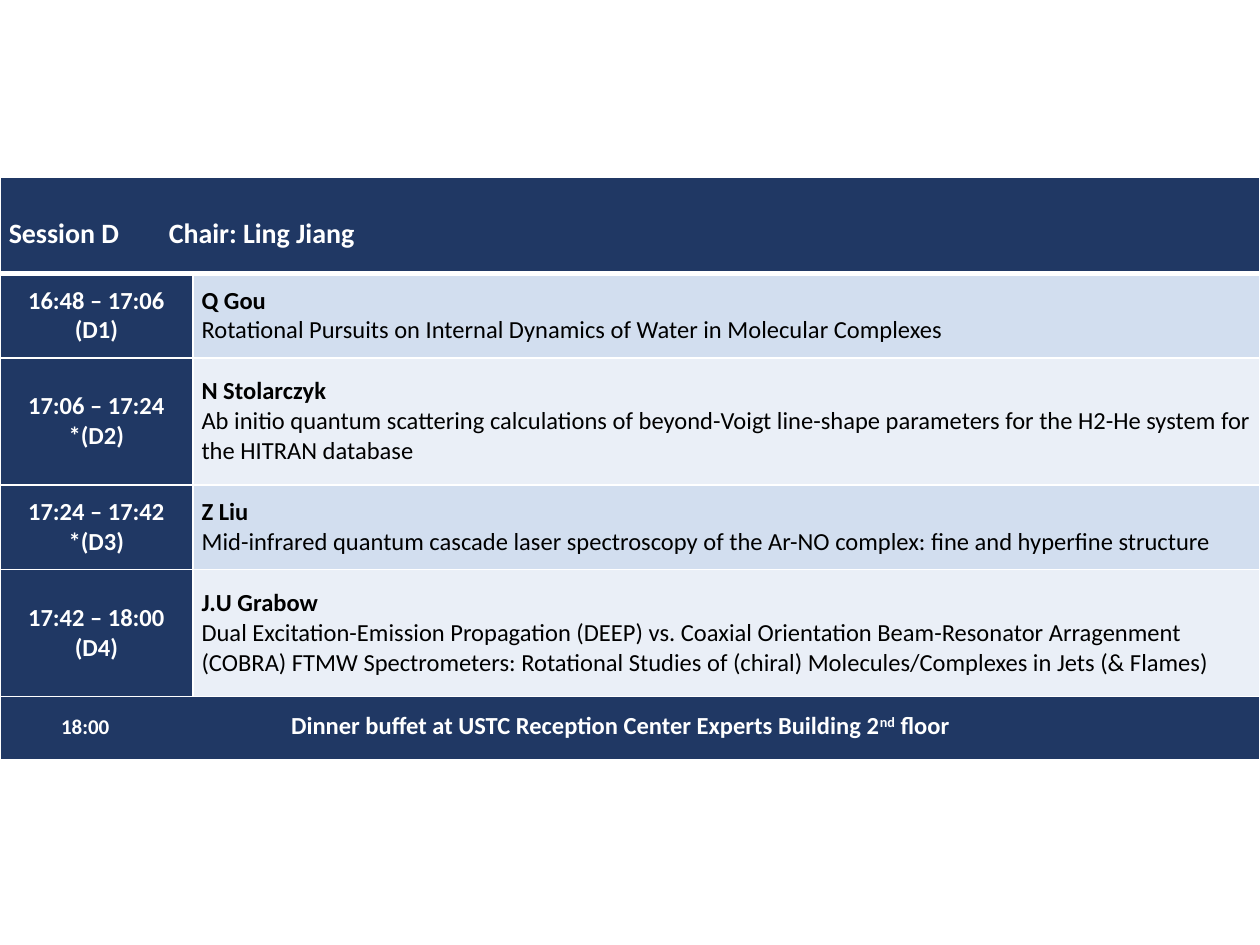
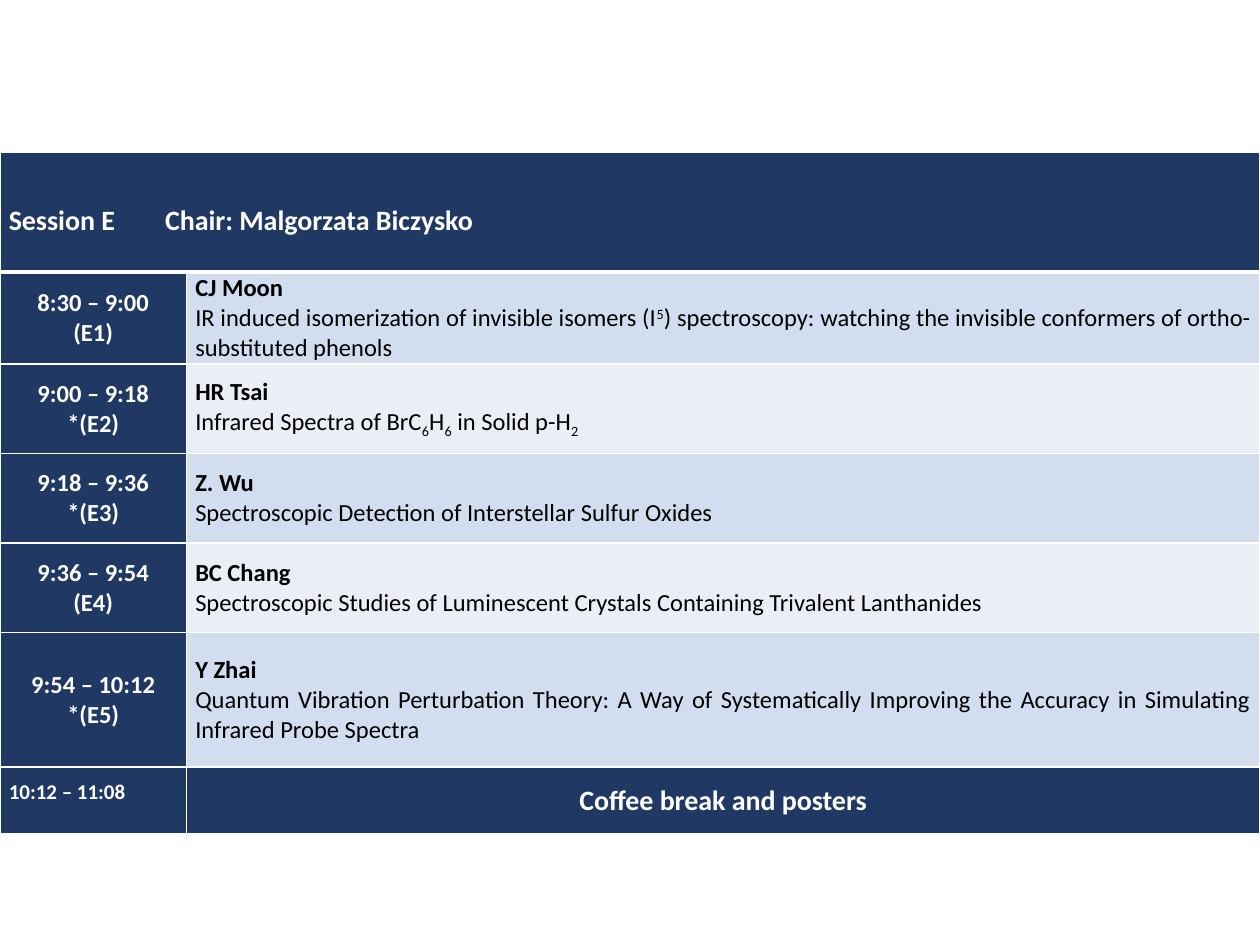
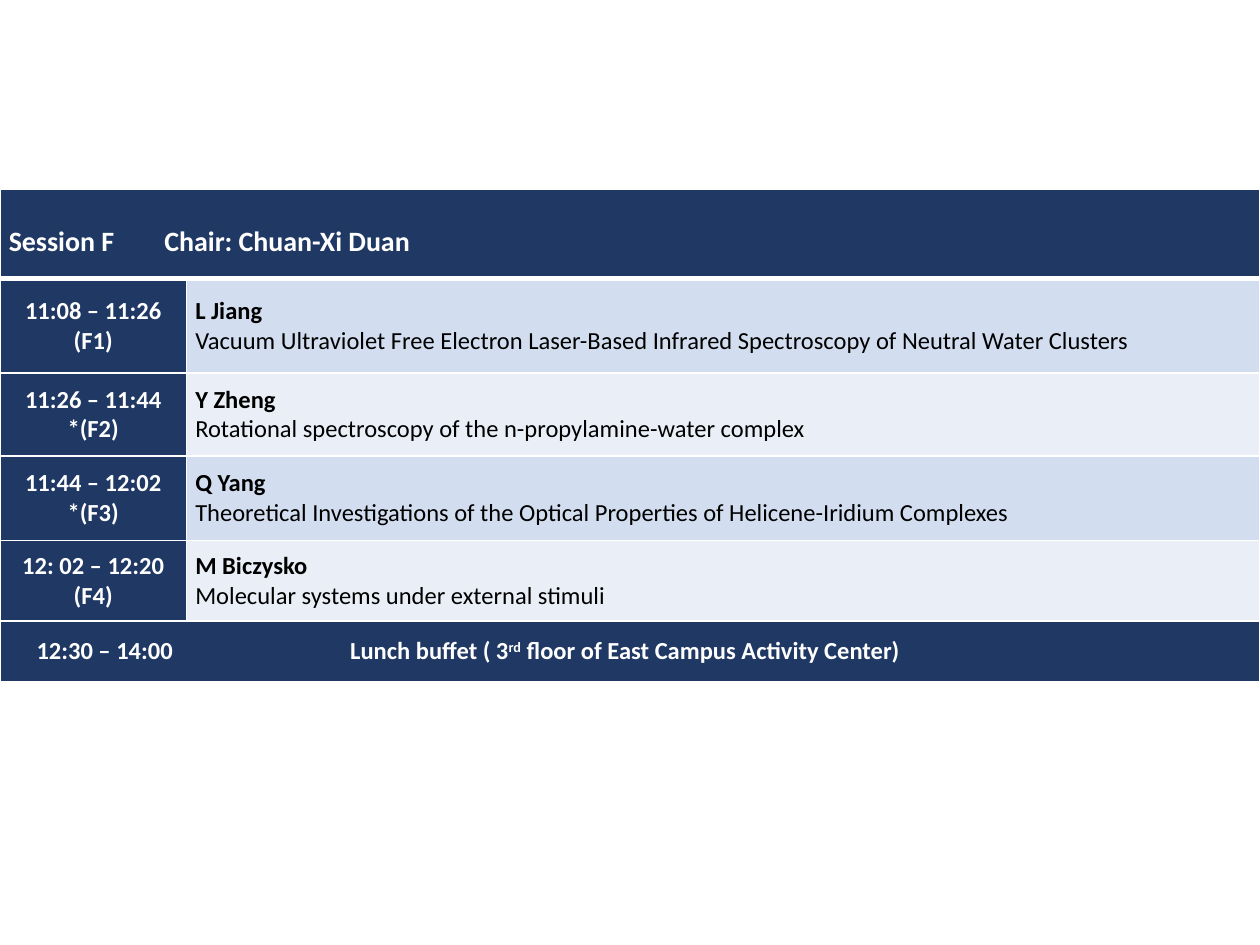
from dataclasses import dataclass, field
from itertools import cycle

from lxml import etree
from pptx import Presentation
from pptx.dml.color import RGBColor
from pptx.enum.text import MSO_ANCHOR, PP_ALIGN
from pptx.oxml.ns import qn
from pptx.util import Inches, Pt

LEFT, CENTER, JUSTIFY = PP_ALIGN.LEFT, PP_ALIGN.CENTER, PP_ALIGN.JUSTIFY
TOP, MIDDLE = MSO_ANCHOR.TOP, MSO_ANCHOR.MIDDLE
NAVY, WHITE, BLACK = "203864", "FFFFFF", "000000"
SUPER, SUB = 30000, -25000
GRID_COLUMNS, GRID_ROWS = 100, 75


def style(size, color, bold, alignment, spacing=1.0):
    """Return the font and paragraph formats of one text style."""
    return {"font": {"size": Pt(size), "bold": bold, "name": "Calibri"},
            "color": color,
            "paragraph": {"alignment": alignment, "line_spacing": spacing}}


@dataclass
class Theme:
    """Colours, type sizes and cell measures of the programme."""
    bands: tuple = ("D2DEEF", "EAEFF7")
    inset: float = 0.7
    rule: float = 1
    heading_rule: float = 3
    styles: dict = field(default_factory=lambda: {
        "heading": style(16, WHITE, True, LEFT, 1.5),
        "time": style(14, WHITE, True, CENTER),
        "speaker": style(14, BLACK, True, JUSTIFY),
        "title": style(14, BLACK, False, JUSTIFY),
        "left title": style(14, BLACK, False, LEFT),
        "closing": style(14, WHITE, True, LEFT),
        "spaced closing": style(14, WHITE, True, LEFT, 1.5),
        "small time": style(12, WHITE, True, LEFT, 1.5),
        "break": style(16, WHITE, True, CENTER)})


@dataclass
class Para:
    """A styled paragraph; a span is text or (text, font formats, baseline)."""
    style: str
    spans: list
    tabs: tuple = ()


@dataclass
class Talk:
    """One scheduled talk."""
    time: str
    code: str
    speaker: str
    title: list
    title_style: str = "title"


@dataclass
class Session:
    """One session table, measured in grid units."""
    name: str
    chair: str
    chair_tab: float
    top: float
    time_width: float
    heights: list
    talks: list
    closing: list
    closing_anchor: object = MIDDLE


class Programme:
    """Builds session slides in one theme."""

    def __init__(self, theme):
        """Open a deck with a grid over its slide."""
        self.theme = theme
        self.deck = Presentation()
        self.deck.slide_width, self.deck.slide_height = Inches(10), Inches(7.5)
        self.page = None

    def across(self, columns):
        """Convert grid columns to a length."""
        return round(self.deck.slide_width * columns / GRID_COLUMNS)

    def down(self, rows):
        """Convert grid rows to a length."""
        return round(self.deck.slide_height * rows / GRID_ROWS)

    def add_page(self):
        """Start a blank slide."""
        self.page = self.deck.slides.add_slide(self.deck.slide_layouts[6])

    def set_paragraph(self, paragraph, para):
        """Set the text, formats and tab stops of one paragraph."""
        formats = self.theme.styles[para.style]
        for name, value in formats["paragraph"].items():
            setattr(paragraph, name, value)
        if para.tabs:
            stops = etree.SubElement(paragraph._p.get_or_add_pPr(), qn("a:tabLst"))
            for tab in para.tabs:
                etree.SubElement(stops, qn("a:tab"), pos=str(self.across(tab)), algn="l")
        for span in para.spans:
            text, changes, baseline = (span, {}, 0) if isinstance(span, str) else span
            run = paragraph.add_run()
            run.text = text
            for name, value in {**formats["font"], **changes}.items():
                setattr(run.font, name, value)
            run.font.color.rgb = RGBColor.from_string(formats["color"])
            if baseline:
                run._r.get_or_add_rPr().set("baseline", str(baseline))

    def border(self, cell, bottom):
        """Draw white rules on the four sides of a cell."""
        widths = dict.fromkeys(("a:lnL", "a:lnR", "a:lnT"), self.theme.rule)
        for tag, width in {**widths, "a:lnB": bottom}.items():
            line = etree.SubElement(cell._tc.get_or_add_tcPr(), qn(tag), w=str(Pt(width)))
            fill = etree.SubElement(line, qn("a:solidFill"))
            etree.SubElement(fill, qn("a:srgbClr"), val=WHITE)

    def fill_cell(self, cell, paras, color=NAVY, anchor=MIDDLE, bottom=None):
        """Set the fill, rules, margins and text of a cell."""
        self.border(cell, bottom or self.theme.rule)
        cell.fill.solid()
        cell.fill.fore_color.rgb = RGBColor.from_string(color)
        inset = self.across(self.theme.inset)
        for name, value in {"margin_left": inset, "margin_right": inset, "margin_top": 0,
                            "margin_bottom": 0, "vertical_anchor": anchor}.items():
            setattr(cell, name, value)
        frame = cell.text_frame
        for index, para in enumerate(paras):
            paragraph = frame.add_paragraph() if index else frame.paragraphs[0]
            self.set_paragraph(paragraph, para)

    def fill_band(self, table, row, paras, **formats):
        """Fill a row that spans both columns."""
        first, last = table.cell(row, 0), table.cell(row, 1)
        first.merge(last)
        self.fill_cell(first, paras, **formats)
        self.fill_cell(last, [], **formats)

    def add_session(self, session):
        """Add a slide with the table of one session."""
        self.add_page()
        rows = len(session.heights)
        table = self.page.shapes.add_table(
            rows, 2, 0, self.down(session.top), self.deck.slide_width,
            self.down(sum(session.heights))).table
        table.first_row = table.horz_banding = False
        for column, width in zip(table.columns,
                                 (session.time_width, GRID_COLUMNS - session.time_width)):
            column.width = self.across(width)
        for row, height in zip(table.rows, session.heights):
            row.height = self.down(height)

        heading = Para("heading", [f"Session {session.name}\tChair: {session.chair}"],
                       (session.chair_tab,))
        self.fill_band(table, 0, [heading], bottom=self.theme.heading_rule)
        for row, (talk, color) in enumerate(zip(session.talks, cycle(self.theme.bands)), 1):
            self.fill_cell(table.cell(row, 0),
                           [Para("time", [talk.time]), Para("time", [talk.code])])
            self.fill_cell(table.cell(row, 1),
                           [Para("speaker", [talk.speaker]),
                            Para(talk.title_style, talk.title)], color)
        if len(session.closing) == 1:
            self.fill_band(table, rows - 1, session.closing, anchor=session.closing_anchor)
        else:
            for column, (para, anchor) in enumerate(zip(session.closing, (TOP, MIDDLE))):
                self.fill_cell(table.cell(rows - 1, column), [para], anchor=anchor)


SESSIONS = [
    Session("D", "Ling Jiang", 12.7, 14.1, 15.3, [7.6, 6.7, 10.1, 6.7, 10.1, 5], [
        Talk("16:48 – 17:06", "(D1)", "Q Gou",
             ["Rotational Pursuits on Internal Dynamics of Water in Molecular Complexes"]),
        Talk("17:06 – 17:24", "*(D2)", "N Stolarczyk",
             ["Ab initio quantum scattering calculations of beyond-Voigt line-shape "
              "parameters for the H2-He system for the HITRAN database"]),
        Talk("17:24 – 17:42", "*(D3)", "Z Liu",
             ["Mid-infrared quantum cascade laser spectroscopy of the Ar-NO complex: "
              "fine and hyperfine structure"]),
        Talk("17:42 – 18:00", "(D4)", "J.U Grabow",
             ["Dual Excitation-Emission Propagation (DEEP) vs. Coaxial Orientation "
              "Beam-Resonator Arragenment (COBRA) FTMW Spectrometers: Rotational Studies "
              "of (chiral) Molecules/Complexes in Jets (& Flames)"], "left title"),
    ], [Para("spaced closing",
             [("\t18:00\t", {"size": Pt(12)}, 0),
              "Dinner buffet at USTC Reception Center Experts Building 2",
              ("nd", {}, SUPER), " floor"], (4.15, 22.4))], TOP),
    Session("E", "Malgorzata Biczysko", 12.4, 12.1, 14.8,
            [9.5, 7.3, 7.1, 7.1, 7.1, 10.7, 5.3], [
        Talk("8:30 – 9:00", "(E1)", "CJ Moon",
             ["IR induced isomerization of invisible isomers (I", ("5", {}, SUPER),
              ") spectroscopy: watching the invisible conformers of "
              "ortho-substituted phenols"]),
        Talk("9:00 – 9:18", "*(E2)", "HR Tsai",
             ["Infrared Spectra of BrC", ("6", {}, SUB), "H", ("6", {}, SUB),
              " in Solid p-H", ("2", {}, SUB)]),
        Talk("9:18 – 9:36", "*(E3)", "Z. Wu",
             ["Spectroscopic Detection of Interstellar Sulfur Oxides"]),
        Talk("9:36 – 9:54", "(E4)", "BC Chang",
             ["Spectroscopic Studies of Luminescent Crystals Containing Trivalent "
              "Lanthanides"]),
        Talk("9:54 – 10:12", "*(E5)", "Y Zhai",
             ["Quantum Vibration Perturbation Theory: A Way of Systematically Improving "
              "the Accuracy in Simulating Infrared Probe Spectra"]),
    ], [Para("small time", ["10:12 – 11:08"]), Para("break", ["Coffee break and posters"])]),
    Session("F", "Chuan-Xi Duan", 12.35, 15, 14.8, [7.1, 7.5, 6.6, 6.7, 6.4, 4.8], [
        Talk("11:08 – 11:26", "(F1)", "L Jiang",
             ["Vacuum Ultraviolet Free Electron Laser-Based Infrared Spectroscopy of "
              "Neutral Water Clusters"]),
        Talk("11:26 – 11:44", "*(F2)", "Y Zheng",
             ["Rotational spectroscopy of the n-propylamine-water complex"]),
        Talk("11:44 – 12:02", "*(F3)", "Q Yang",
             ["Theoretical Investigations of the Optical Properties of Helicene-Iridium "
              "Complexes"]),
        Talk("12: 02 – 12:20", "(F4)", "M Biczysko",
             ["Molecular systems under external stimuli"]),
    ], [Para("closing", ["\t12:30 – 14:00\tLunch buffet ( 3", ("rd", {}, SUPER),
                         " floor of East Campus Activity Center)"], (2.2, 27.1))]),
]


def main():
    """Build and save the programme."""
    programme = Programme(Theme())
    for session in SESSIONS:
        programme.add_session(session)
    programme.deck.save("out.pptx")


if __name__ == "__main__":
    main()
